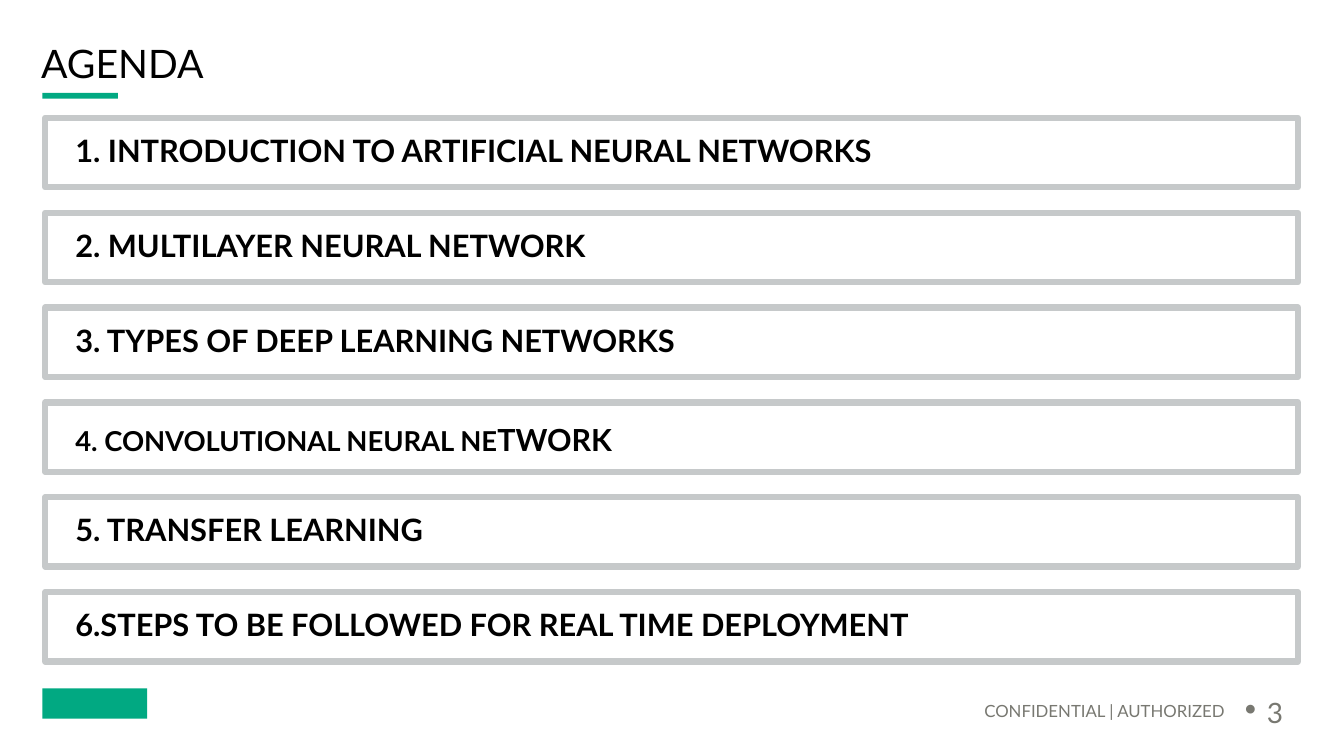
from pptx import Presentation
from pptx.dml.color import RGBColor
from pptx.enum.shapes import MSO_SHAPE
from pptx.enum.text import MSO_ANCHOR, PP_ALIGN
from pptx.oxml.ns import qn
from pptx.util import Cm, Pt
from lxml import etree

RECTANGLE = MSO_SHAPE.RECTANGLE
MIDDLE, BOTTOM = MSO_ANCHOR.MIDDLE, MSO_ANCHOR.BOTTOM
LEFT, RIGHT = PP_ALIGN.LEFT, PP_ALIGN.RIGHT

GREEN = RGBColor(0x01, 0xA9, 0x82)
BORDER_GREY = RGBColor(0xC6, 0xC9, 0xCA)
FOOTER_GREY = RGBColor(0x78, 0x78, 0x71)
BLACK = RGBColor(0, 0, 0)
FONT = "Lato"

ROW_LEFT, ROW_TOP, ROW_WIDTH, ROW_HEIGHT = 1.14, 2.97, 31.57, 1.75
ROW_PITCH = 2.39

# Each row: its runs as (text, size), and the top inset in cm
AGENDA = [
    ([("1. INTRODUCTION TO ARTIFICIAL NEURAL NETWORKS", 22)], 0.25),
    ([("2. MULTILAYER NEURAL NETWORK", 22)], 0.25),
    ([("3. TYPES OF DEEP LEARNING NETWORKS", 22)], 0.25),
    ([("4. CONVOLUTIONAL NEURAL NE", 19.6), ("TWORK", 21.7)], 0.48),
    ([("5. TRANSFER LEARNING", 22)], 0.25),
    ([("6.STEPS TO BE FOLLOWED FOR REAL TIME DEPLOYMENT", 22)], 0.25),
]


def write_line(shape, runs, color, insets, bold=False, align=LEFT, anchor=MIDDLE):
    """Fill a shape with one line; insets are (horizontal, top, bottom) in cm."""
    text_frame = shape.text_frame
    text_frame.word_wrap = True
    text_frame.vertical_anchor = anchor
    horizontal, top, bottom = insets
    text_frame.margin_left = text_frame.margin_right = Cm(horizontal)
    text_frame.margin_top, text_frame.margin_bottom = Cm(top), Cm(bottom)
    paragraph = text_frame.paragraphs[0]
    paragraph.alignment = align
    paragraph.line_spacing = 0.9
    for text, size in runs:
        run = paragraph.add_run()
        run.text = text
        run.font.name = FONT
        run.font.size = Pt(size)
        run.font.bold = bold
        run.font.color.rgb = color
    return paragraph


def add_text(slide, left, top, width, height, *args, **options):
    box = slide.shapes.add_textbox(Cm(left), Cm(top), Cm(width), Cm(height))
    return write_line(box, *args, **options)


def add_rectangle(slide, left, top, width, height):
    shape = slide.shapes.add_shape(RECTANGLE, Cm(left), Cm(top), Cm(width), Cm(height))
    shape.shadow.inherit = False
    return shape


def add_green_bar(slide, left, top, width, height):
    bar = add_rectangle(slide, left, top, width, height)
    bar.fill.solid()
    bar.fill.fore_color.rgb = GREEN
    bar.line.fill.background()


def add_agenda_row(slide, index, runs, top_inset):
    row = add_rectangle(slide, ROW_LEFT, ROW_TOP + index * ROW_PITCH, ROW_WIDTH, ROW_HEIGHT)
    row.fill.background()
    row.line.color.rgb = BORDER_GREY
    row.line.width = Pt(4.5)
    write_line(row, runs, BLACK, (0.76, top_inset, 0.25), bold=True)


def add_bullet(paragraph):
    properties = paragraph._p.get_or_add_pPr()
    properties.set("marL", str(Cm(0.56)))
    properties.set("indent", str(-Cm(0.56)))
    etree.SubElement(properties, qn("a:buSzPct")).set("val", "120000")
    etree.SubElement(properties, qn("a:buChar")).set("char", "•")


def main():
    presentation = Presentation()
    presentation.slide_width, presentation.slide_height = Cm(33.87), Cm(19.05)
    slide = presentation.slides.add_slide(presentation.slide_layouts[6])

    add_green_bar(slide, 1.07, 17.35, 2.64, 0.76)
    add_green_bar(slide, 1.07, 2.34, 1.9, 0.15)
    add_text(slide, 0.79, 1.09, 31.93, 1.12, [("AGENDA", 28)], BLACK, (0.25, 0.25, 0.25))

    for index, (runs, top_inset) in enumerate(AGENDA):
        add_agenda_row(slide, index, runs, top_inset)

    add_text(slide, 10.34, 17.02, 20.78, 1.14, [("CONFIDENTIAL | AUTHORIZED", 12)],
             FOOTER_GREY, (0.25, 0, 0), align=RIGHT, anchor=BOTTOM)
    page_number = add_text(slide, 31.12, 17.5, 1.9, 1.02, [("3", 20)],
                           FOOTER_GREY, (0.25, 0.13, 0.13))
    add_bullet(page_number)

    presentation.save("out.pptx")


if __name__ == "__main__":
    main()
